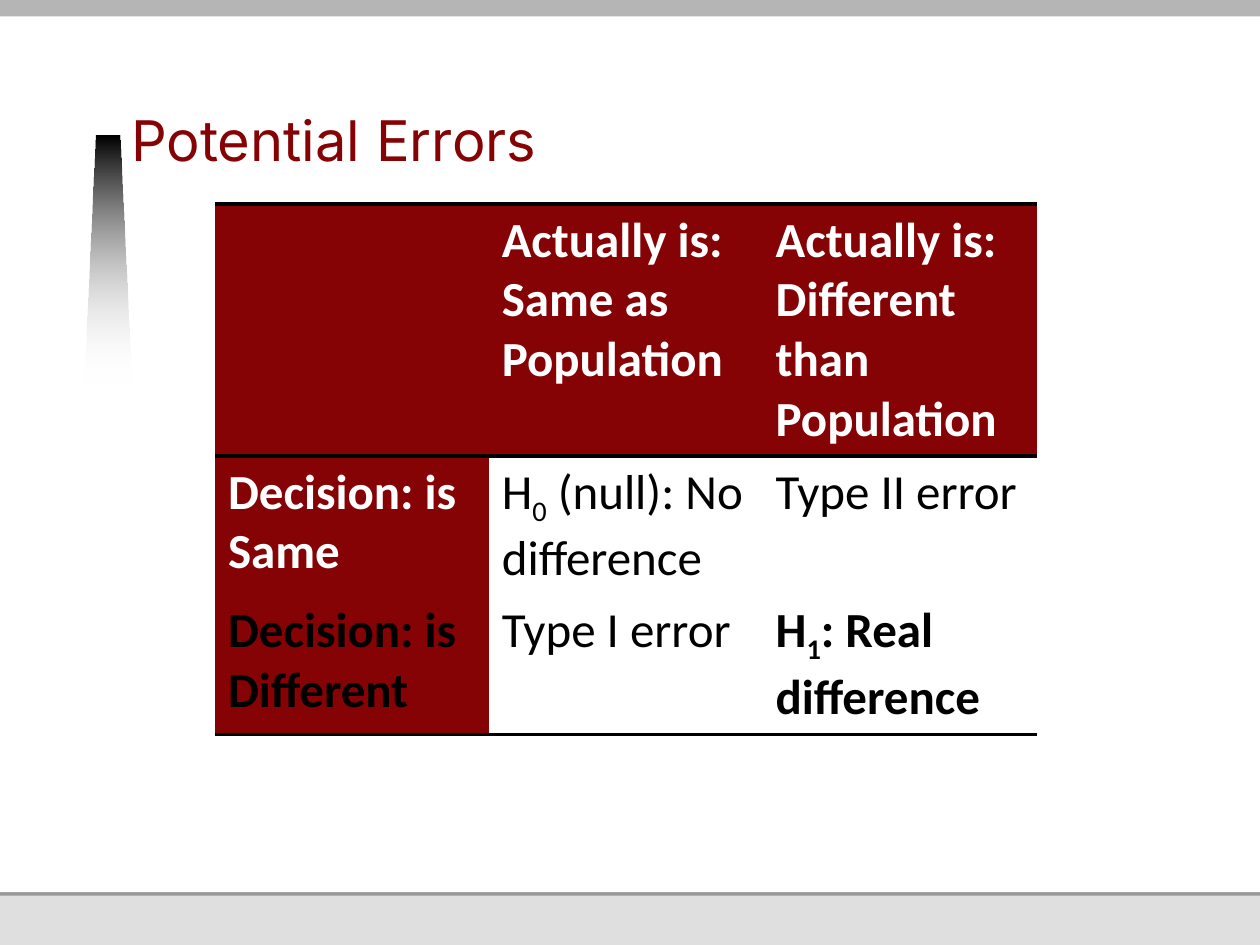
from lxml import etree
from pptx import Presentation
from pptx import util as u
from pptx.dml.color import RGBColor
from pptx.enum import shapes, text
from pptx.oxml import ns

WIDTH, HEIGHT = 10, 7.5
COLORS = {"maroon": "850205", "black": "000000", "white": "FFFFFF",
          "top": "B5B5B5", "rule": "989898", "footer": "DFDFDF"}
NO_STYLE = "{2D5ABB26-0587-4C30-8999-92F81FD0307C}"
ROW_HEIGHTS = [2, 1.1, 1.11]
RULED_EDGES = (0, 1, 3)

# Each cell: (text spans, fill, text colour, bold); a span starting with "_" is a subscript.
HEADER = ("maroon", "white", True)
PLAIN = ("white", "black", False)
ERRORS = [
    [([], *HEADER),
     (["Actually is: Same as Population"], *HEADER),
     (["Actually is: Different than Population"], *HEADER)],
    [(["Decision: is Same"], *HEADER),
     (["H", "_0", " (null): No difference"], *PLAIN),
     (["Type II error"], *PLAIN)],
    [(["Decision: is Different"], "maroon", "black", True),
     (["Type I error"], *PLAIN),
     (["H", "_1", ": Real difference"], "white", "black", True)],
]


def color(name):
    return RGBColor.from_string(COLORS[name])


def inches(*lengths):
    return [u.Inches(length) for length in lengths]


def add_span(para, words, ink, **formats):
    span = para.add_run()
    span.text = words
    for name, value in formats.items():
        setattr(span.font, name, value)
    span.font.color.rgb = color(ink)
    return span


def add_band(page, top, height, fill):
    """Draw a band across the full width of the page."""
    band = page.shapes.add_shape(shapes.MSO_SHAPE.RECTANGLE, *inches(0, top, WIDTH, height))
    band.shadow.inherit = False
    band.fill.solid()
    band.fill.fore_color.rgb = color(fill)
    band.line.fill.background()


def add_backdrop(page):
    """Stack the bands so that each leaves a strip of the one behind it in view."""
    add_band(page, 0, HEIGHT, "footer")
    add_band(page, 1.78, 5.33, "rule")
    add_band(page, 0, 7.08, "white")
    add_band(page, 0, 0.13, "top")


def add_beam(page, left, top, width, height):
    """Draw a tapered beam that fades out towards its wide foot."""
    corners = [(0, 1), (0.24, 0), (0.75, 0), (1, 1)]
    points = [(u.Inches(left + width * x), u.Inches(top + height * y)) for x, y in corners]
    builder = page.shapes.build_freeform(*points[0])
    builder.add_line_segments(points[1:], close=True)
    beam = builder.convert_to_shape()
    beam.shadow.inherit = False
    beam.line.fill.background()
    beam.fill.gradient()
    beam.fill.gradient_angle = 270
    for stop, name, place in zip(beam.fill.gradient_stops, ("black", "white"), (0, 1)):
        stop.color.rgb = color(name)
        stop.position = place
    last = beam.element.findall(".//" + ns.qn("a:srgbClr"))[-1]
    etree.SubElement(last, ns.qn("a:alpha"), val="0")


def add_title(page, left, top, width, height):
    box = page.shapes.add_textbox(*inches(left, top, width, height))
    settings = {"word_wrap": True, "vertical_anchor": text.MSO_ANCHOR.BOTTOM,
                "margin_left": 0, "margin_right": 0, "margin_top": 0,
                "margin_bottom": u.Inches(0.05)}
    for name, value in settings.items():
        setattr(box.text_frame, name, value)
    para = box.text_frame.paragraphs[0]
    para.line_spacing = u.Pt(34)
    add_span(para, "Potential Errors", "maroon", name="Inter", size=u.Pt(32))


def set_borders(cell, row):
    """Rule the cell's top and bottom where the table has a ruled edge, and clear its sides."""
    ruled = {"lnL": False, "lnR": False,
             "lnT": row in RULED_EDGES, "lnB": row + 1 in RULED_EDGES}
    properties = cell._tc.get_or_add_tcPr()
    for place, (side, shown) in enumerate(ruled.items()):
        line = etree.Element(ns.qn("a:" + side), w=str(u.Pt(2.25) if shown else 0))
        fill = etree.SubElement(line, ns.qn("a:solidFill" if shown else "a:noFill"))
        if shown:
            etree.SubElement(fill, ns.qn("a:srgbClr"), val=COLORS["black"])
        properties.insert(place, line)


def fill_cell(cell, spans, fill, ink, bold):
    cell.fill.solid()
    cell.fill.fore_color.rgb = color(fill)
    para = cell.text_frame.paragraphs[0]
    para.font.size = u.Pt(28)
    for words in spans:
        span = add_span(para, words.lstrip("_"), ink, name="Calibri", size=u.Pt(28), bold=bold)
        if words.startswith("_"):
            span.font._element.set("baseline", "-25000")


def add_error_table(page, left, top, width):
    rows, columns = len(ERRORS), len(ERRORS[0])
    frame = page.shapes.add_table(rows, columns, *inches(left, top, width, sum(ROW_HEIGHTS)))
    table = frame.table
    table.first_row = table.horz_banding = False
    table._tbl.tblPr.find(ns.qn("a:tableStyleId")).text = NO_STYLE
    for column in table.columns:
        column.width = u.Inches(width / columns)
    for r, (row, height) in enumerate(zip(ERRORS, ROW_HEIGHTS)):
        table.rows[r].height = u.Inches(height)
        for c, content in enumerate(row):
            cell = table.cell(r, c)
            fill_cell(cell, *content)
            set_borders(cell, r)


def main():
    deck = Presentation()
    deck.slide_width, deck.slide_height = inches(WIDTH, HEIGHT)
    page = deck.slides.add_slide(deck.slide_layouts[6])
    add_backdrop(page)
    add_beam(page, 0.67, 1.08, 0.37, 1.97)
    add_title(page, 1.04, 0.34, 6.87, 1.08)
    add_error_table(page, 1.71, 1.62, 6.52)
    deck.save("out.pptx")


if __name__ == "__main__":
    main()
